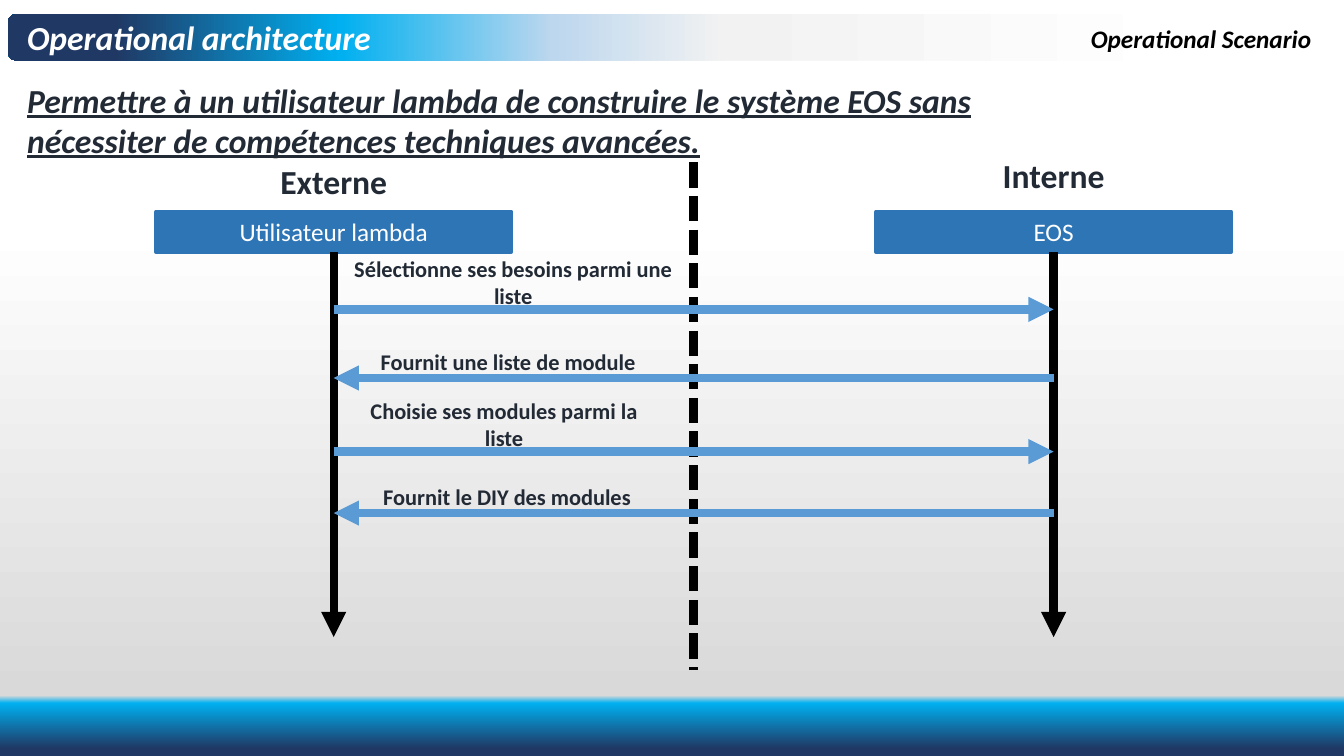
from dataclasses import dataclass
from typing import Any

from lxml.etree import SubElement
from pptx import Presentation
from pptx.dml.color import RGBColor
from pptx.enum.dml import MSO_LINE
from pptx.enum.shapes import MSO_CONNECTOR, MSO_SHAPE
from pptx.enum.text import MSO_ANCHOR, MSO_AUTO_SIZE, PP_ALIGN
from pptx.oxml.ns import qn
from pptx.util import Inches, Pt


@dataclass(frozen=True)
class Theme:
    font: str = "Calibri"
    white: str = "FFFFFF"
    black: str = "000000"
    ink: str = "222A35"
    box: str = "2E75B6"
    arrow: str = "5B9BD5"
    heading: int = 24
    body: int = 18
    label: int = 16
    box_line: int = 3
    stroke: int = 6
    page: tuple = ((30, "FFFFFF"), (92, "D9D9D9"), (93, "00B0F0"), (99, "203864"))
    banner: tuple = ((11, "FFFFFF"), (46, "F2F2F2"), (59, "BDD7EE"),
                     (75, "00B0F0"), (92, "203864"))


@dataclass(frozen=True)
class Label:
    text: str
    left: float
    top: float
    width: float
    height: float
    size: int
    color: str
    fmt: dict
    align: Any = PP_ALIGN.LEFT


@dataclass(frozen=True)
class Actor:
    name: str
    side: str
    left: float
    side_top: float

    @property
    def center(self) -> float:
        return self.left + BOX_W / 2


@dataclass(frozen=True)
class Message:
    text: str
    y: float
    outgoing: bool
    left: float
    top: float
    width: float
    height: float


T = Theme()
BOX_TOP, BOX_W, BOX_H = 2.1, 3.52, 0.4
SIDE_W, SIDE_H = 1.58, 0.81
LIFELINE_END = 6.32
BOLD = {"bold": True}
BOLD_ITALIC = {"bold": True, "italic": True}

HEADINGS = [
    Label("Operational architecture", 0.17, 0.12, 7.44, 0.5, T.heading, T.white, BOLD_ITALIC),
    Label("Operational Scenario", 10.72, 0.18, 2.45, 0.4, T.body, T.black, BOLD_ITALIC),
    Label("Permettre à un utilisateur lambda de construire le système EOS sans "
          "nécessiter de compétences techniques avancées.",
          0.17, 0.74, 10.4, 0.91, T.heading, T.ink, {**BOLD_ITALIC, "underline": True}),
]
USER = Actor("Utilisateur lambda", "Externe", 1.55, 1.55)
SYSTEM = Actor("EOS", "Interne", 8.69, 1.49)
MESSAGES = [
    Message("Sélectionne ses besoins parmi une liste", 3.07, True, 3.2, 2.48, 3.78, 0.94),
    Message("Fournit une liste de module", 3.75, False, 3.47, 3.4, 3.14, 0.67),
    Message("Choisie ses modules parmi la liste", 4.48, True, 3.43, 3.89, 3.14, 0.94),
    Message("Fournit le DIY des modules", 5.09, False, 3.46, 4.74, 3.14, 0.67),
]


def set_gradient(fill: Any, element: Any, stops: tuple, angle: int) -> None:
    fill.gradient()
    fill.gradient_angle = angle
    gs_list = next(element.iter(qn("a:gsLst")))
    for old in list(gs_list):
        gs_list.remove(old)
    for pos, color in stops:
        gs = SubElement(gs_list, qn("a:gs"), pos=str(pos * 1000))
        SubElement(gs, qn("a:srgbClr"), val=color)


def write(sp: Any, text: str, size: int, color: str, fmt: dict, align: Any) -> None:
    tf = sp.text_frame
    tf.word_wrap = True
    tf.auto_size = MSO_AUTO_SIZE.SHAPE_TO_FIT_TEXT
    p = tf.paragraphs[0]
    p.alignment = align
    r = p.add_run()
    r.text = text
    for name, value in {"name": T.font, "size": Pt(size), **fmt}.items():
        setattr(r.font, name, value)
    r.font.color.rgb = RGBColor.from_string(color)


def add_label(s: Any, label: Label) -> None:
    sp = s.shapes.add_textbox(Inches(label.left), Inches(label.top),
                              Inches(label.width), Inches(label.height))
    write(sp, label.text, label.size, label.color, label.fmt, label.align)


def add_line(s: Any, x1: float, y1: float, x2: float, y2: float,
             color: str, arrow: bool = True) -> Any:
    line = s.shapes.add_connector(MSO_CONNECTOR.STRAIGHT, Inches(x1), Inches(y1),
                                  Inches(x2), Inches(y2))
    line.line.width = Pt(T.stroke)
    line.line.color.rgb = RGBColor.from_string(color)
    if arrow:
        SubElement(line.line._get_or_add_ln(), qn("a:tailEnd"), type="triangle")
    SubElement(line.element.spPr, qn("a:effectLst"))
    return line


def add_banner(s: Any) -> None:
    sp = s.shapes.add_shape(MSO_SHAPE.ROUNDED_RECTANGLE, Inches(0.08), Inches(0.14),
                            Inches(13.17), Inches(0.46))
    sp.shadow.inherit = False
    sp.rotation = 180
    sp.line.fill.background()
    set_gradient(sp.fill, sp.element, T.banner, 0)


def add_actor_box(s: Any, actor: Actor) -> Any:
    sp = s.shapes.add_shape(MSO_SHAPE.RECTANGLE, Inches(actor.left), Inches(BOX_TOP),
                            Inches(BOX_W), Inches(BOX_H))
    sp.shadow.inherit = False
    sp.fill.solid()
    sp.fill.fore_color.rgb = sp.line.color.rgb = RGBColor.from_string(T.box)
    sp.line.width = Pt(T.box_line)
    sp.text_frame.vertical_anchor = MSO_ANCHOR.MIDDLE
    write(sp, actor.name, T.body, T.white, {}, PP_ALIGN.CENTER)
    return sp


def add_message(s: Any, m: Message) -> None:
    start, end = (USER, SYSTEM) if m.outgoing else (SYSTEM, USER)
    add_line(s, start.center, m.y, end.center, m.y, T.arrow)
    add_label(s, Label(m.text, m.left, m.top, m.width, m.height,
                       T.label, T.ink, BOLD, PP_ALIGN.CENTER))


def main() -> None:
    prs = Presentation()
    prs.slide_width, prs.slide_height = Inches(13.33), Inches(7.5)
    s = prs.slides.add_slide(prs.slide_layouts[6])

    # Background and headings
    set_gradient(s.background.fill, s.element, T.page, 270)
    add_banner(s)
    for heading in HEADINGS:
        add_label(s, heading)

    # Actors, divider and lifelines
    actors = (SYSTEM, USER)
    boxes = [add_actor_box(s, actor) for actor in actors]
    divider_x = (USER.center + SYSTEM.center) / 2
    divider = add_line(s, divider_x, 1.61, divider_x, 6.65, T.black, arrow=False)
    divider.line.dash_style = MSO_LINE.SQUARE_DOT
    for actor, box in zip(actors, boxes):
        lifeline = add_line(s, actor.center, BOX_TOP + BOX_H,
                            actor.center, LIFELINE_END, T.black)
        lifeline.begin_connect(box, 2)
        add_label(s, Label(actor.side, actor.center - SIDE_W / 2, actor.side_top,
                           SIDE_W, SIDE_H, T.heading, T.ink, BOLD, PP_ALIGN.CENTER))

    # Messages
    for message in MESSAGES:
        add_message(s, message)

    prs.save("out.pptx")


if __name__ == "__main__":
    main()
